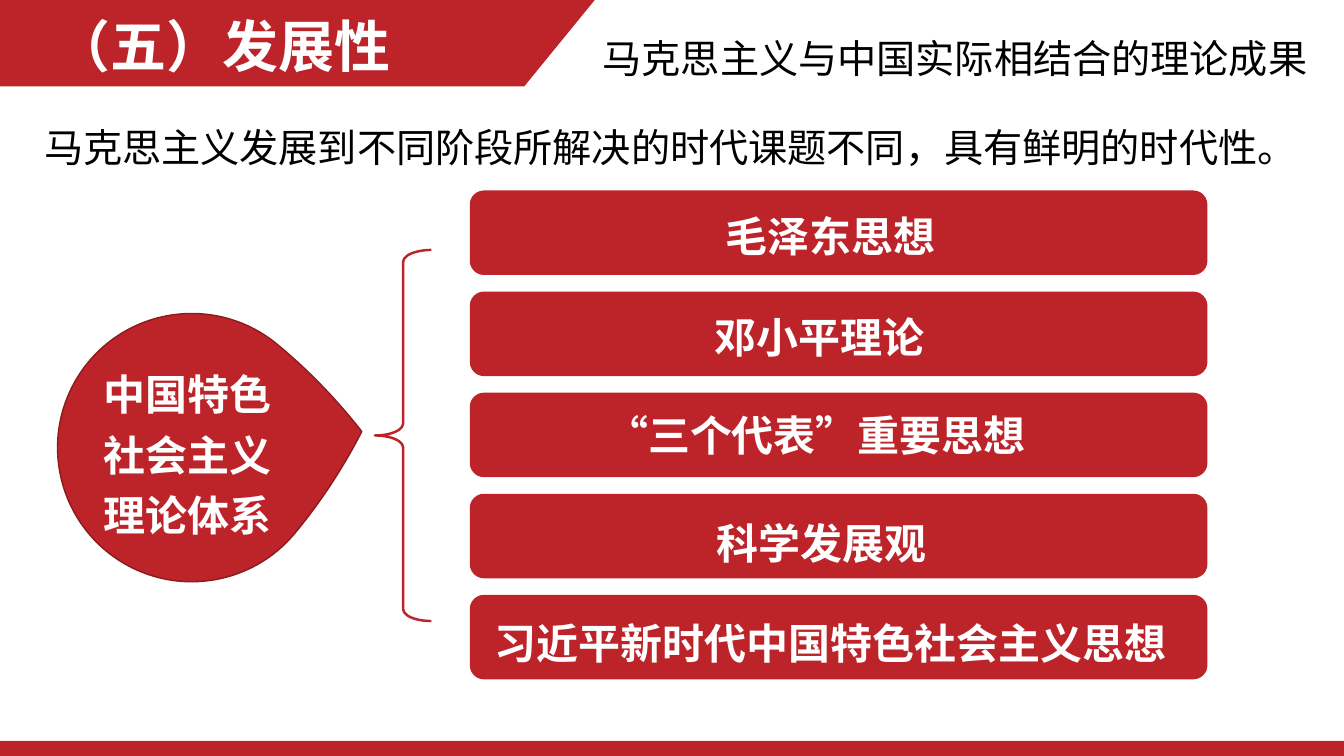
from dataclasses import dataclass

from lxml.etree import SubElement
from pptx import Presentation
from pptx.dml.color import RGBColor
from pptx.enum.shapes import MSO_SHAPE
from pptx.enum.text import MSO_ANCHOR, MSO_AUTO_SIZE, PP_ALIGN
from pptx.oxml.ns import qn
from pptx.util import Cm, Pt


@dataclass(frozen=True)
class Theme:
    """Colours, font and type sizes of the slide."""
    red: RGBColor = RGBColor(0xBC, 0x24, 0x2A)
    dark: RGBColor = RGBColor(0x8B, 0x1B, 0x1F)
    white: RGBColor = RGBColor(0xFF, 0xFF, 0xFF)
    black: RGBColor = RGBColor(0, 0, 0)
    font: str = "Noto Sans CJK SC"
    title: int = 40
    label: int = 30
    body: int = 28


THEME = Theme()


def place(box):
    """Turn a box in centimetres into lengths."""
    return [Cm(side) for side in box]


def paint(shape, fill=THEME.red, line=None, width=1):
    """Give a shape its fill and line, without shadow."""
    shape.shadow.inherit = False
    if fill is None:
        shape.fill.background()
    else:
        shape.fill.solid()
        shape.fill.fore_color.rgb = fill
    if line is None:
        shape.line.fill.background()
    else:
        shape.line.color.rgb = line
        shape.line.width = Pt(width)


def write(shapes, box, text, size, color, align=PP_ALIGN.CENTER,
          bold=False, wrap=True, grow=True, space=1.2):
    """Add one paragraph of text in a box."""
    frame = shapes.add_textbox(*place(box)).text_frame
    frame.word_wrap = wrap
    if grow:
        frame.auto_size = MSO_AUTO_SIZE.SHAPE_TO_FIT_TEXT
    else:
        frame.vertical_anchor = MSO_ANCHOR.MIDDLE
    para = frame.paragraphs[0]
    para.alignment = align
    para.line_spacing = space
    run = para.add_run()
    run.text = text
    run.font.size = Pt(size)
    run.font.bold = bold
    run.font.color.rgb = color
    run.font.name = THEME.font
    SubElement(run.font._element, qn("a:ea")).set("typeface", THEME.font)


def add_head(shapes, box, title):
    """Draw the slanted banner and its title."""
    left, top, width, height = box
    pen = shapes.build_freeform(Cm(left), Cm(top))
    pen.add_line_segments([
        (Cm(left + width), Cm(top)),
        (Cm(left + width - 1.78), Cm(top + height)),
        (Cm(left), Cm(top + height)),
    ])
    paint(pen.convert_to_shape())
    write(shapes, (left, top - 0.13, 11.23, height), title, THEME.title,
          THEME.white, bold=True, grow=False)


def add_root(shapes, box, text):
    """Draw the drop with its label and the brace beside it."""
    left, top, width, height = box
    group = shapes.add_group_shape().shapes
    brace = group.add_shape(
        MSO_SHAPE.LEFT_BRACE, *place((left + width - 1.42, top, 1.42, height)))
    brace.adjustments[0] = 0.211
    paint(brace, None, THEME.red, 1.75)
    drop = group.add_shape(
        MSO_SHAPE.TEAR, *place((left, top + 1.6, 6.76, 6.76)))
    drop.adjustments[0] = 0.901
    drop.rotation = 39.6
    paint(drop, line=THEME.dark)
    write(group, (left + 0.79, top + 2.62, 4.95, 4.88), text, THEME.label,
          THEME.white, bold=True)


def add_bars(shapes, box, items):
    """Stack rounded bars evenly, each with its own label offset."""
    left, top, width, height = box
    tall = 2.13
    step = (height - tall) / (len(items) - 1)
    for row, (text, right, down, span) in enumerate(items):
        y = top + row * step
        group = shapes.add_group_shape().shapes
        paint(group.add_shape(MSO_SHAPE.ROUNDED_RECTANGLE,
                              *place((left, y, width, tall))))
        write(group, (left + right, y + down, span, 1.79), text, THEME.label,
              THEME.white, bold=True)


def main():
    """Build and save the slide."""
    deck = Presentation()
    deck.slide_width, deck.slide_height = Cm(33.87), Cm(19.05)
    shapes = deck.slides.add_slide(deck.slide_layouts[6]).shapes
    add_head(shapes, (0, 0, 14.99, 2.18), "（五）发展性")
    paint(shapes.add_shape(MSO_SHAPE.RECTANGLE,
                           *place((0, 18.67, 33.87, 0.38))))
    write(shapes, (14.94, 0.74, 18.29, 1.45),
          "马克思主义与中国实际相结合的理论成果", THEME.body, THEME.black,
          PP_ALIGN.LEFT, wrap=False, space=1.0)
    add_root(shapes, (1.45, 6.3, 9.42, 9.35), "中国特色社会主义理论体系")
    add_bars(shapes, (11.84, 4.8, 18.59, 12.32), [
        ("毛泽东思想", 0.36, 0.13, 17.45),
        ("邓小平理论", 0.08, 0.13, 17.45),
        ("“三个代表”重要思想", 0, 0.05, 17.45),
        ("科学发展观", 0.13, 0.23, 17.45),
        ("习近平新时代中国特色社会主义思想", 0.08, 0.18, 18.01),
    ])
    write(shapes, (0.86, 2.74, 32.99, 1.7),
          "马克思主义发展到不同阶段所解决的时代课题不同，具有鲜明的时代性。",
          THEME.body, THEME.black, PP_ALIGN.JUSTIFY)
    deck.save("out.pptx")


if __name__ == "__main__":
    main()
